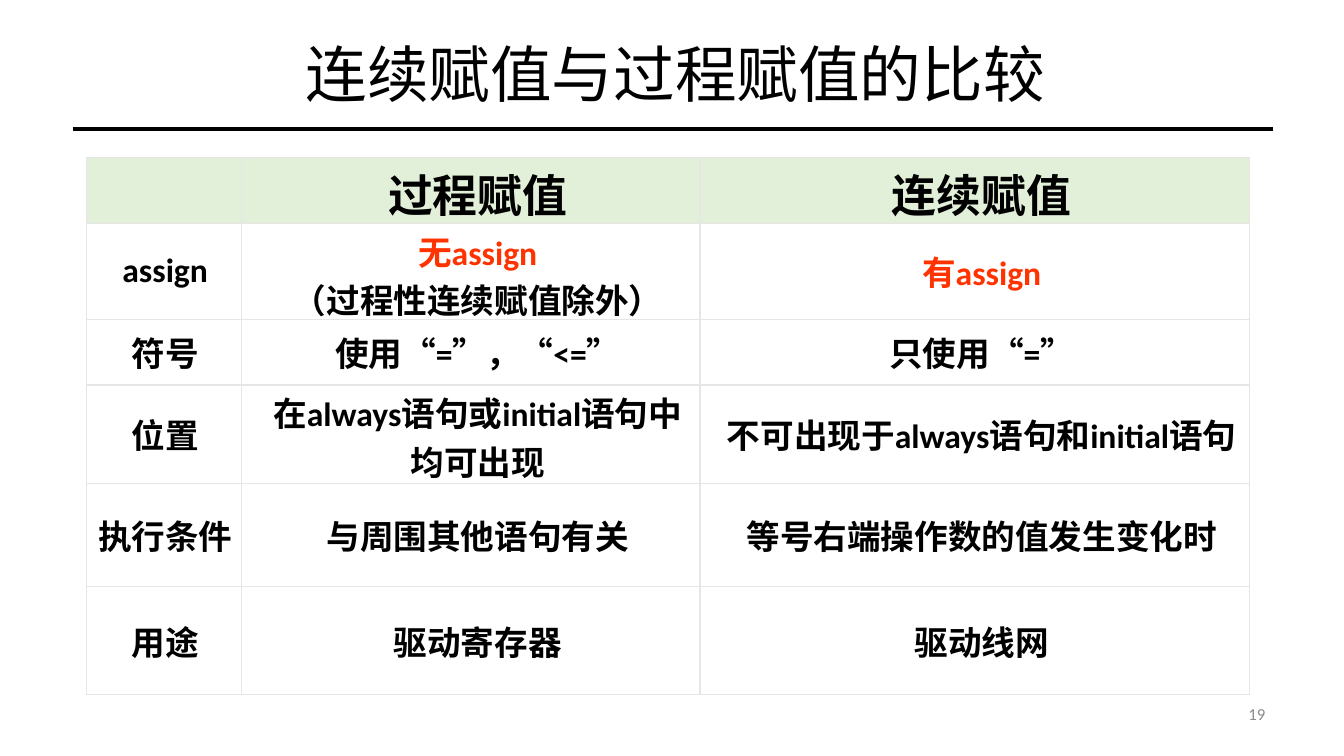
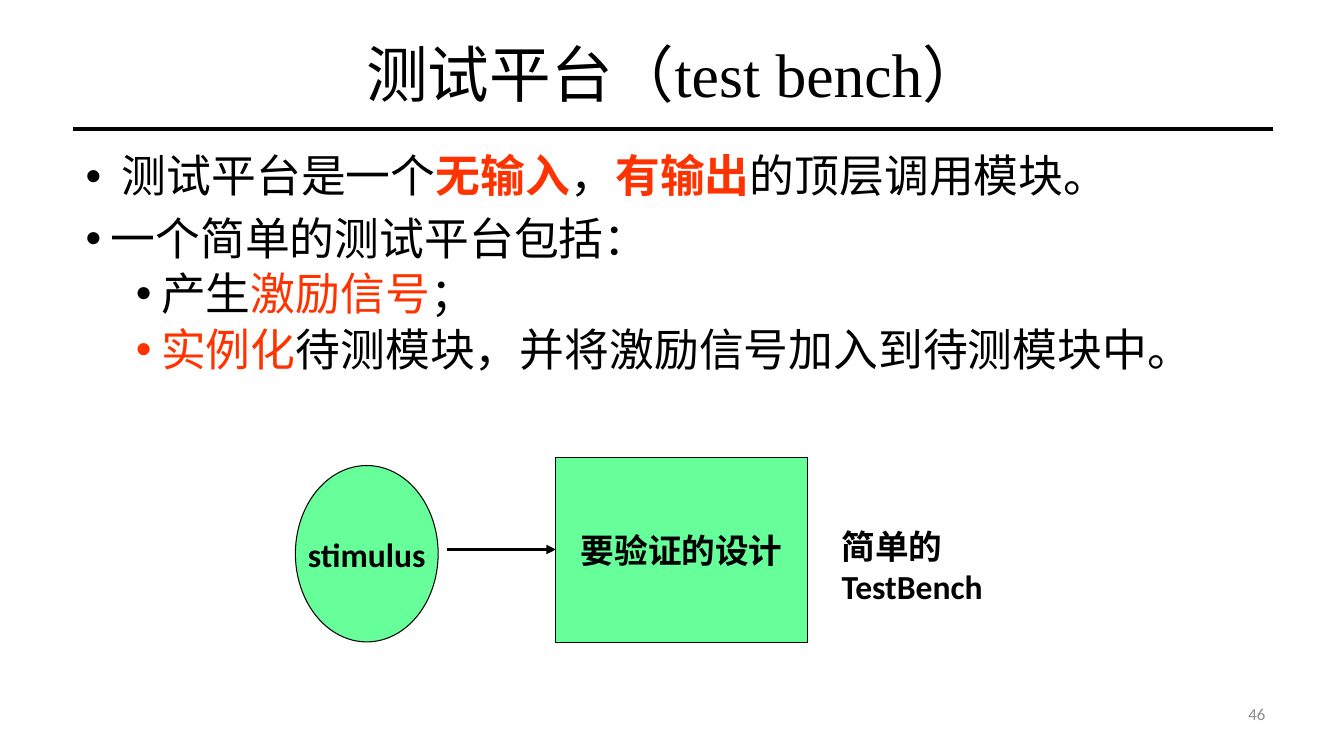
from lxml import etree
from pptx import Presentation
from pptx import util as u
from pptx.dml import color
from pptx.enum import shapes, text
from pptx.oxml import ns

BLACK, RED, GRAY = "000000", "FF3300", "8C8C8C"
GREEN, HEADER, BORDER = "66FF99", "E2F0D9", "E7E6E6"
SANS, SERIF, CHINESE = "Calibri", "Times New Roman", "Noto Sans CJK SC"
LEFT, CENTER, RIGHT = text.PP_ALIGN.LEFT, text.PP_ALIGN.CENTER, text.PP_ALIGN.RIGHT
MIDDLE, TOP = text.MSO_ANCHOR.MIDDLE, text.MSO_ANCHOR.TOP


def rgb(value):
    return color.RGBColor.from_string(value)


def child(parent, tag, **attributes):
    return etree.SubElement(parent, ns.qn(tag), attributes)


class Deck:
    def __init__(self):
        self.presentation = Presentation()
        self.presentation.slide_width = u.Pt(960)
        self.presentation.slide_height = u.Pt(540)
        self.slide = None

    def add_slide(self, title, number):
        layout = self.presentation.slide_layouts[6]
        self.slide = self.presentation.slides.add_slide(layout)
        self.line((52, 92), (909, 92), 3)
        frame = self.box(54, 25, 857, 61, MIDDLE)
        self.add_runs(frame.paragraphs[0], [(title,)], 44, SERIF, align=CENTER, spacing=0.9)
        frame = self.box(639, 492, 272, 36, MIDDLE)
        self.add_runs(frame.paragraphs[0], [(number, GRAY)], 12, align=RIGHT)

    def add_runs(self, paragraph, runs, size, font=SANS, bold=False, align=LEFT, spacing=None):
        paragraph.alignment = align
        if spacing:
            paragraph.line_spacing = spacing
        for words, *style in runs:
            run = paragraph.add_run()
            run.text = words
            run.font.size = u.Pt(size)
            run.font.bold = bold or len(style) > 1
            run.font.color.rgb = rgb(style[0] if style else BLACK)
            run.font.name = font
            child(run.font._element, "a:ea", typeface=CHINESE)

    def box(self, left, top, width, height, anchor=TOP):
        shape = self.slide.shapes.add_textbox(*map(u.Pt, (left, top, width, height)))
        frame = shape.text_frame
        frame.word_wrap = True
        frame.vertical_anchor = anchor
        return frame

    def line(self, start, end, width, arrow=False):
        connector = self.slide.shapes.add_connector(
            shapes.MSO_CONNECTOR.STRAIGHT, *map(u.Pt, (*start, *end)))
        connector.line.color.rgb = rgb(BLACK)
        connector.line.width = u.Pt(width)
        if arrow:
            child(connector.line._get_or_add_ln(), "a:tailEnd", type="triangle")
        child(connector._element.spPr, "a:effectLst")

    def node(self, kind, left, top, width, height, label):
        shape = self.slide.shapes.add_shape(kind, *map(u.Pt, (left, top, width, height)))
        shape.shadow.inherit = False
        shape.fill.solid()
        shape.fill.fore_color.rgb = rgb(GREEN)
        shape.line.color.rgb = rgb(BLACK)
        shape.line.width = u.Pt(0.75)
        shape.text_frame.word_wrap = False
        shape.text_frame.vertical_anchor = MIDDLE
        self.add_runs(shape.text_frame.paragraphs[0], [(label,)], 24, bold=True, align=CENTER)

    def bullets(self, frame, items):
        for index, (level, left, hanging, runs) in enumerate(items):
            paragraph = frame.add_paragraph() if index else frame.paragraphs[0]
            properties = paragraph._p.get_or_add_pPr()
            properties.set("marL", str(u.Pt(left)))
            properties.set("indent", str(u.Pt(-hanging)))
            child(properties, "a:buFont", typeface="Arial")
            child(properties, "a:buChar", char="•")
            paragraph.level = level
            if index:
                paragraph.space_before = u.Pt(5 if level else 10)
            self.add_runs(paragraph, runs, 32, SERIF, spacing=0.9)

    def cell(self, cell, lines, header, label):
        properties = cell._tc.get_or_add_tcPr()
        for side in ("a:lnL", "a:lnR", "a:lnT", "a:lnB"):
            edge = child(properties, side, w=str(u.Pt(1)))
            child(child(edge, "a:solidFill"), "a:srgbClr", val=BORDER)
        if header:
            cell.fill.solid()
            cell.fill.fore_color.rgb = rgb(HEADER)
        else:
            cell.fill.background()
        cell.vertical_anchor = MIDDLE
        cell.margin_top = cell.margin_bottom = cell.margin_right = u.Pt(2)
        cell.margin_left = u.Pt(4 if label else 12)
        for index, line in enumerate(lines):
            frame = cell.text_frame
            paragraph = frame.add_paragraph() if index else frame.paragraphs[0]
            self.add_runs(paragraph, [line], 32 if header else 24, bold=True, align=CENTER)

    def table(self, left, top, widths, heights, rows):
        table = self.slide.shapes.add_table(
            len(rows), len(widths),
            *map(u.Pt, (left, top, sum(widths), sum(heights)))).table
        table.first_row = table.horz_banding = False
        for column, width in zip(table.columns, widths):
            column.width = u.Pt(width)
        for row, height in zip(table.rows, heights):
            row.height = u.Pt(height)
        for r, row in enumerate(rows):
            for c, lines in enumerate(row):
                self.cell(table.cell(r, c), lines, r == 0, c == 0)


def comparison_slide(deck):
    deck.add_slide("连续赋值与过程赋值的比较", "19")
    deck.table(61.5, 112.5, (111, 327.5, 392.5), (47, 68.5, 47, 70.5, 73.5, 77), [
        [[], [("过程赋值",)], [("连续赋值",)]],
        [[("assign",)], [("无assign", RED), ("（过程性连续赋值除外）",)], [("有assign", RED)]],
        [[("符号",)], [("使用“=”，“<=”",)], [("只使用“=”",)]],
        [[("位置",)], [("在always语句或initial语句中均可出现",)],
         [("不可出现于always语句和initial语句",)]],
        [[("执行条件",)], [("与周围其他语句有关",)], [("等号右端操作数的值发生变化时",)]],
        [[("用途",)], [("驱动寄存器",)], [("驱动线网",)]],
    ])


def test_bench_slide(deck):
    deck.add_slide("测试平台（test bench）", "46")
    deck.bullets(deck.box(54, 106.5, 857, 373), [
        (0, 26, 26, [("测试平台是一个",), ("无输入", RED, "bold"), ("，",),
                     ("有输出", RED, "bold"), ("的顶层调用模块。",)]),
        (0, 18, 18, [("一个简单的测试平台包括：",)]),
        (1, 54, 18, [("产生",), ("激励信号", RED), ("；",)]),
        (1, 54, 18, [("实例化", RED), ("待测模块，并将激励信号加入到待测模块中。",)]),
    ])
    deck.node(shapes.MSO_SHAPE.OVAL, 211, 332.5, 102, 126, "stimulus")
    deck.node(shapes.MSO_SHAPE.RECTANGLE, 397, 327, 180, 132, "要验证的设计")
    deck.line((319, 392.5), (397, 392.5), 2.25, arrow=True)
    caption = deck.box(594, 372, 170, 72)
    deck.add_runs(caption.paragraphs[0], [("简单的TestBench",)], 24, bold=True)


def main():
    deck = Deck()
    comparison_slide(deck)
    test_bench_slide(deck)
    deck.presentation.save("out.pptx")


if __name__ == "__main__":
    main()
